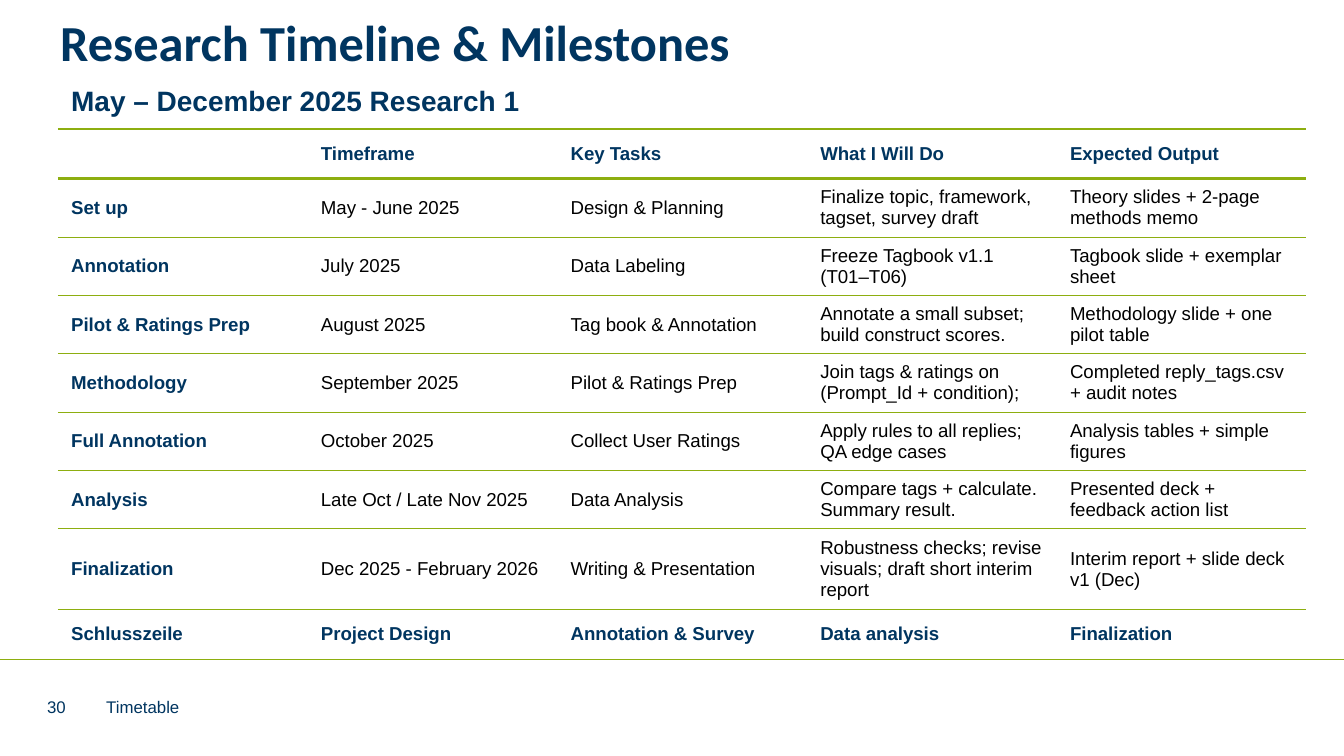
from lxml.etree import SubElement
from pptx import Presentation
from pptx.dml.color import RGBColor
from pptx.enum.shapes import MSO_CONNECTOR
from pptx.enum.text import MSO_ANCHOR
from pptx.oxml.ns import qn
from pptx.util import Inches, Pt

WIDTH = 10
HEIGHT = WIDTH * 9 / 16
COLORS = {"navy": "003560", "green": "8DAE10", "black": "000000"}
NO_GRID_STYLE = "{2D5ABB26-0587-4C30-8999-92F81FD0307C}"
MARGIN = 0.35
FOOTER_TOP, FOOTER_HEIGHT = 5.2, 0.12
TABLE_LEFT, TABLE_TOP, TABLE_WIDTH, TABLE_HEIGHT = 0.43, 0.59, 9.29, 4.31
ROW_HEIGHT = 0.37
THICK, THIN = 1.5, 0.5

FORMATS = {
    "title": {"name": "Calibri", "size": Pt(27), "bold": True},
    "subtitle": {"name": "Arial", "size": Pt(15), "bold": True},
    "label": {"name": "Arial", "size": Pt(10), "bold": True},
    "body": {"name": "Arial", "size": Pt(10), "bold": False},
    "footer": {"name": "Arial", "size": Pt(9), "bold": False},
}

SUBTITLE = "May – December 2025 Research 1"
SCHEDULE = [
    ["", "Timeframe", "Key Tasks", "What I Will Do", "Expected Output"],
    ["Set up", "May - June 2025", "Design & Planning",
     "Finalize topic, framework, tagset, survey draft",
     "Theory slides + 2-page methods memo"],
    ["Annotation", "July 2025", "Data Labeling",
     "Freeze Tagbook v1.1 (T01–T06)", "Tagbook slide + exemplar sheet"],
    ["Pilot & Ratings Prep", "August 2025", "Tag book & Annotation",
     "Annotate a small subset; build construct scores.",
     "Methodology slide + one pilot table"],
    ["Methodology", "September 2025", "Pilot & Ratings Prep",
     "Join tags & ratings on (Prompt_Id + condition);",
     "Completed reply_tags.csv + audit notes"],
    ["Full Annotation", "October 2025", "Collect User Ratings",
     "Apply rules to all replies; QA edge cases",
     "Analysis tables + simple figures"],
    ["Analysis", "Late Oct / Late Nov 2025", "Data Analysis",
     "Compare tags + calculate. Summary result.",
     "Presented deck + feedback action list"],
    ["Finalization", "Dec 2025 - February 2026", "Writing & Presentation",
     "Robustness checks; revise visuals; draft short interim report",
     "Interim report + slide deck v1 (Dec)"],
    ["Schlusszeile", "Project Design", "Annotation & Survey",
     "Data analysis", "Finalization"],
]


def rgb(color):
    return RGBColor.from_string(COLORS[color])


def write(frame, text, style, color="navy"):
    paragraph = frame.paragraphs[0]
    target = paragraph
    if text:
        target = paragraph.add_run()
        target.text = text
    for attribute, value in FORMATS[style].items():
        setattr(target.font, attribute, value)
    target.font.color.rgb = rgb(color)


def add_text(page, text, style, left, top, width, height):
    box = page.shapes.add_textbox(*map(Inches, (left, top, width, height)))
    box.text_frame.word_wrap = True
    write(box.text_frame, text, style)
    return box


def add_footer_text(page, text, left, width):
    box = add_text(page, text, "footer", left, FOOTER_TOP, width, FOOTER_HEIGHT)
    frame = box.text_frame
    frame.vertical_anchor = MSO_ANCHOR.MIDDLE
    for side in ("left", "top", "right", "bottom"):
        setattr(frame, f"margin_{side}", 0)


def add_rule(page, top):
    rule = page.shapes.add_connector(
        MSO_CONNECTOR.STRAIGHT, 0, Inches(top), Inches(WIDTH), Inches(top))
    rule.line.color.rgb = rgb("green")
    rule.line.width = Pt(THIN)
    SubElement(rule._element.spPr, qn("a:effectLst"))


def set_borders(cell, **widths):
    """Draw green borders; keywords are a:lnT / a:lnB names with point widths."""
    properties = cell._tc.get_or_add_tcPr()
    for position, (tag, width) in enumerate(widths.items()):
        line = SubElement(properties, qn(f"a:{tag}"), w=str(Pt(width)))
        fill = SubElement(line, qn("a:solidFill"))
        SubElement(fill, qn("a:srgbClr"), val=COLORS["green"])
        properties.insert(position, line)


def add_schedule(page):
    row_count, column_count = len(SCHEDULE) + 1, len(SCHEDULE[0])
    holder = page.shapes.add_table(
        row_count, column_count, Inches(TABLE_LEFT), Inches(TABLE_TOP),
        Inches(TABLE_WIDTH), Inches(TABLE_HEIGHT))
    table = holder.table
    table._tbl.tblPr.find(qn("a:tableStyleId")).text = NO_GRID_STYLE
    table.first_row = table.horz_banding = False
    for row in table.rows:
        row.height = Inches(ROW_HEIGHT)
    # Wrapped text makes the table taller than the sum of its minimum rows.
    holder.height = Inches(TABLE_HEIGHT)

    for cell in table.iter_cells():
        cell.fill.background()
    table.cell(0, 0).merge(table.cell(0, column_count - 1))
    write(table.cell(0, 0).text_frame, SUBTITLE, "subtitle")
    for column in range(column_count):
        set_borders(table.cell(0, column), lnB=THICK)

    last = row_count - 1
    for row, texts in enumerate(SCHEDULE, start=1):
        for column, text in enumerate(texts):
            cell = table.cell(row, column)
            cell.vertical_anchor = MSO_ANCHOR.MIDDLE
            is_label = column == 0 or row in (1, last)
            style, color = ("label", "navy") if is_label else ("body", "black")
            write(cell.text_frame, text, style, color)
            set_borders(cell, lnT=THICK if row <= 2 else THIN,
                        lnB=THICK if row == 1 else THIN)


def main():
    deck = Presentation()
    deck.slide_width, deck.slide_height = Inches(WIDTH), Inches(HEIGHT)
    page = deck.slides.add_slide(deck.slide_layouts[6])
    add_rule(page, 4.91)
    add_text(page, "Research Timeline & Milestones", "title",
             MARGIN, 0.03, 8.27, 0.51)
    add_footer_text(page, "Timetable", 0.79, 6.89)
    add_footer_text(page, "30", MARGIN, 0.28)
    add_schedule(page)
    deck.save("out.pptx")


if __name__ == "__main__":
    main()
